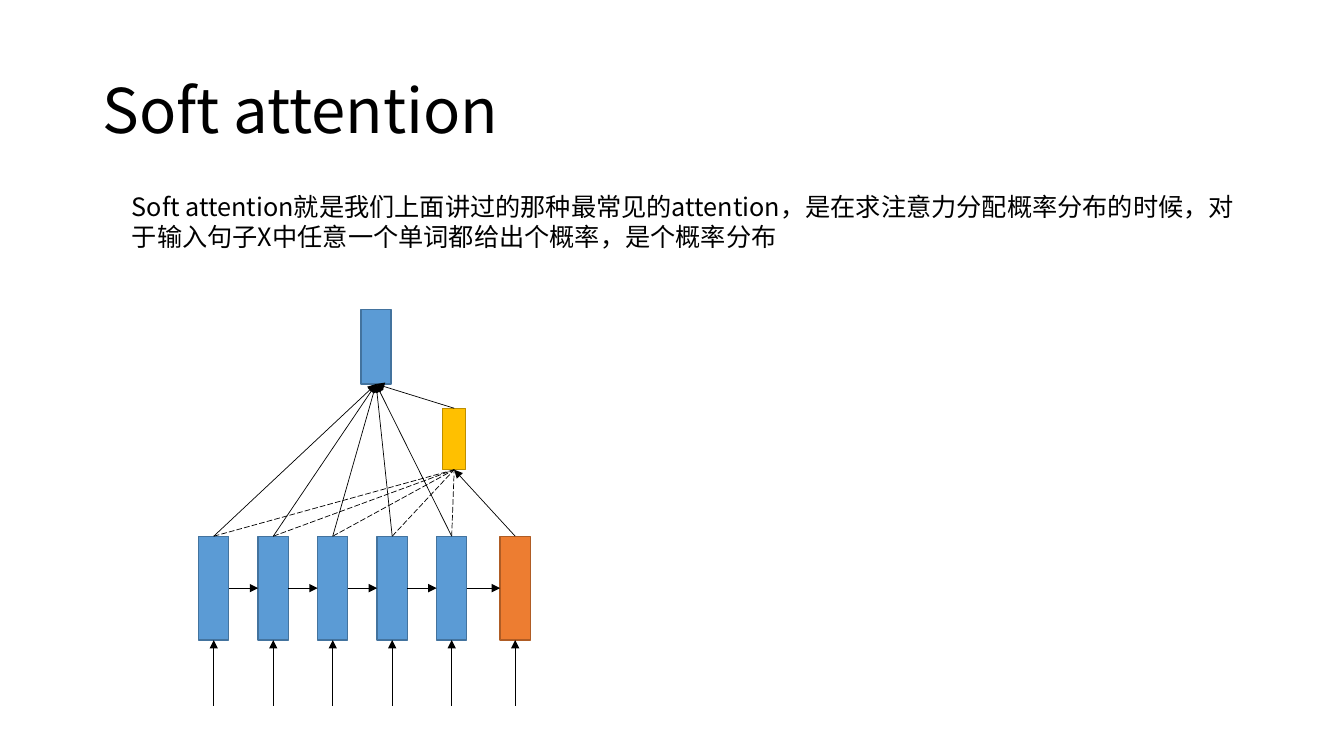
from lxml.etree import SubElement
from pptx import Presentation
from pptx.dml.color import RGBColor
from pptx.enum.dml import MSO_LINE
from pptx.enum.shapes import MSO_CONNECTOR, MSO_SHAPE
from pptx.enum.text import MSO_ANCHOR, MSO_AUTO_SIZE
from pptx.oxml.ns import qn
from pptx.util import Inches, Pt

TITLE = "Soft attention"
BODY = ("Soft attention就是我们上面讲过的那种最常见的attention，是在求注意力分配概率分布的时候，"
        "对于输入句子X中任意一个单词都给出个概率，是个概率分布")

THEME = {
    "font": "Noto Sans CJK SC",
    "title": 44,
    "body": 18,
    "ink": "000000",
    "state": ("5B9BD5", "43739E"),
    "query": ("ED7D31", "AF5C24"),
    "score": ("FFC000", "BD8E00"),
}

# left, top, width, height in inches
TITLE_BOX = (0.92, 0.4, 11.5, 1.45)
BODY_BOX = (1.21, 1.85, 11.21, 0.71)
OUTPUT_BOX = (3.58, 3.07, 0.3, 0.74)
SCORE_BOX = (4.39, 4.05, 0.23, 0.61)
STATE_COUNT, STATE_LEFT, STATE_STEP = 5, 1.97, 0.59
QUERY_LEFT = 4.96
ROW_TOP, CELL_W, CELL_H = 5.32, 0.3, 1.03
INPUT_BOTTOM = 7.0

TOP, LEFT, BOTTOM, RIGHT = range(4)


def add_text(slide, box, text, size):
    tf = slide.shapes.add_textbox(*map(Inches, box)).text_frame
    tf.word_wrap = True
    tf.text = text
    p = tf.paragraphs[0]
    for r in p.runs:
        r.font.name = THEME["font"]
        r.font.size = Pt(size)
        r.font.color.rgb = RGBColor.from_string(THEME["ink"])
        SubElement(r.font._element, qn("a:ea"), typeface=THEME["font"])
    return tf


def add_block(slide, box, role):
    fill, edge = THEME[role]
    s = slide.shapes.add_shape(MSO_SHAPE.RECTANGLE, *map(Inches, box))
    s.shadow.inherit = False
    s.fill.solid()
    s.fill.fore_color.rgb = RGBColor.from_string(fill)
    s.line.color.rgb = RGBColor.from_string(edge)
    s.line.width = Pt(1)
    return s


def link(slide, target, side, source=None, source_side=TOP, start=(0, 0), dashed=False):
    """Join source (or a free start point) to target; dashed links have no arrowhead."""
    c = slide.shapes.add_connector(MSO_CONNECTOR.STRAIGHT, *start, *start)
    if source is not None:
        c.begin_connect(source, source_side)
    c.end_connect(target, side)
    c.line.color.rgb = RGBColor.from_string(THEME["ink"])
    c.line.width = Pt(0.5)
    if dashed:
        c.line.dash_style = MSO_LINE.LONG_DASH
    else:
        SubElement(c.line._get_or_add_ln(), qn("a:tailEnd"), type="triangle")
    SubElement(c._element.spPr, qn("a:effectLst"))


def main():
    prs = Presentation()
    prs.slide_width, prs.slide_height = Inches(13.33), Inches(7.5)
    slide = prs.slides.add_slide(prs.slide_layouts[6])

    title = add_text(slide, TITLE_BOX, TITLE, THEME["title"])
    title.vertical_anchor = MSO_ANCHOR.MIDDLE
    title.paragraphs[0].line_spacing = 0.9
    body = add_text(slide, BODY_BOX, BODY, THEME["body"])
    body.auto_size = MSO_AUTO_SIZE.SHAPE_TO_FIT_TEXT

    states = [add_block(slide, (STATE_LEFT + i * STATE_STEP, ROW_TOP, CELL_W, CELL_H), "state")
              for i in range(STATE_COUNT)]
    query = add_block(slide, (QUERY_LEFT, ROW_TOP, CELL_W, CELL_H), "query")
    score = add_block(slide, SCORE_BOX, "score")
    output = add_block(slide, OUTPUT_BOX, "state")

    row = states + [query]
    for cell, following in zip(row, row[1:]):
        link(slide, following, LEFT, cell, RIGHT)
    for cell in row:
        link(slide, cell, BOTTOM, start=(cell.left + cell.width // 2, Inches(INPUT_BOTTOM)))
    for state in states:
        link(slide, score, BOTTOM, state, dashed=True)
        link(slide, output, BOTTOM, state)
    link(slide, score, BOTTOM, query)
    link(slide, output, BOTTOM, score)

    prs.save("out.pptx")


if __name__ == "__main__":
    main()
